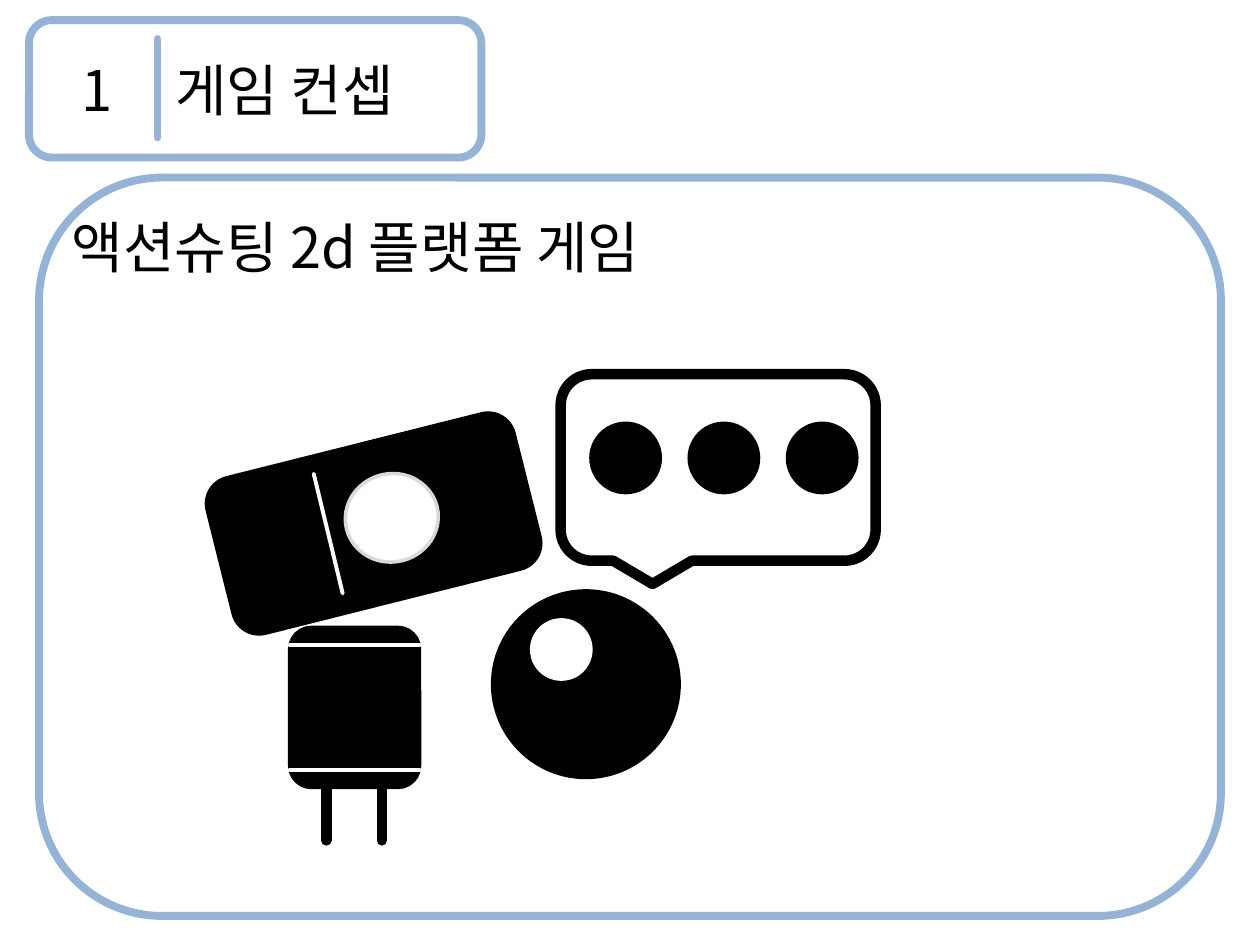
import pptx
import pptx.util
import pptx.dml.color
import pptx.enum.shapes
import pptx.enum.text
import pptx.oxml.ns
import lxml.etree

Inches = pptx.util.Inches
Pt = pptx.util.Pt
RGBColor = pptx.dml.color.RGBColor
KIND = pptx.enum.shapes.MSO_SHAPE
qn = pptx.oxml.ns.qn

BLUE = RGBColor(0x95, 0xB3, 0xD7)
BLACK = RGBColor(0, 0, 0)
WHITE = RGBColor(255, 255, 255)
GRAY = RGBColor(0xD9, 0xD9, 0xD9)
FONT = "Noto Sans CJK KR"

deck = pptx.Presentation()
deck.slide_width, deck.slide_height = Inches(10), Inches(7.5)
slide = deck.slides.add_slide(deck.slide_layouts[5])


def shape(home, kind, box, fill, color, width=2):
    item = home.add_shape(kind, *[Inches(v) for v in box])
    item.shadow.inherit = False
    if fill is None:
        item.fill.background()
    else:
        item.fill.solid()
        item.fill.fore_color.rgb = fill
    item.line.color.rgb = color
    item.line.width = Pt(width)
    return item


def line(home, ends, color, width):
    item = home.add_connector(pptx.enum.shapes.MSO_CONNECTOR.STRAIGHT,
                              *[Inches(v) for v in ends])
    item.line.color.rgb = color
    item.line.width = Pt(width)
    item.line._get_or_add_ln().set("cap", "rnd")
    lxml.etree.SubElement(item._element.spPr, qn("a:effectLst"))


# Title and body text
title = slide.shapes.title
title.left, title.top = Inches(0.55), Inches(0.39)
title.width, title.height = Inches(3.2), Inches(0.64)
body = slide.shapes.add_textbox(Inches(0.47), Inches(1.64), Inches(9.22), Inches(0.64))
for box, words in ((title, "1\t게임 컨셉"), (body, "액션슈팅 2d 플랫폼 게임")):
    frame = box.text_frame
    frame.word_wrap = True
    frame.auto_size = pptx.enum.text.MSO_AUTO_SIZE.NONE
    frame.vertical_anchor = pptx.enum.text.MSO_ANCHOR.TOP
    para = frame.paragraphs[0]
    para.alignment = pptx.enum.text.PP_ALIGN.LEFT
    run = para.add_run()
    run.text = words
    run.font.size = Pt(32)
    run.font.name = FONT
    run.font.color.rgb = BLACK
    lxml.etree.SubElement(run._r.get_or_add_rPr(), qn("a:ea")).set("typeface", FONT)

# Tab stop between the number and the heading
tabs = lxml.etree.SubElement(title.text_frame.paragraphs[0]._p.get_or_add_pPr(), qn("a:tabLst"))
stop = lxml.etree.SubElement(tabs, qn("a:tab"))
stop.set("pos", str(Inches(0.74)))
stop.set("algn", "l")

# Frames
for box in ((0.23, 0.16, 3.59, 1.09), (0.31, 1.41, 9.38, 5.86)):
    shape(slide.shapes, KIND.ROUNDED_RECTANGLE, box, None, BLUE, 4.5)
line(slide.shapes, (1.25, 0.31, 1.25, 1.09), BLUE, 4.5)

# Robot: head, eye, legs, trunk
robot = slide.shapes.add_group_shape().shapes
head = shape(robot, KIND.ROUNDED_RECTANGLE, (1.71, 3.52, 2.51, 1.27), BLACK, BLACK)
line(robot, (2.49, 3.76, 2.72, 4.71), WHITE, 2.25)
eye = shape(robot, KIND.OVAL, (2.74, 3.76, 0.74, 0.7), WHITE, GRAY)
head.rotation = eye.rotation = 345.9
for x in (2.59, 3.03):
    line(robot, (x, 5.97, x, 6.67), BLACK, 6)
shape(robot, KIND.ROUNDED_RECTANGLE, (2.3, 4.98, 1.03, 1.27), BLACK, BLACK)
for y in (5.12, 6.11):
    line(robot, (2.3, y, 3.33, y), WHITE, 2.25)

# Ball with a highlight
ball = slide.shapes.add_group_shape().shapes
shape(ball, KIND.OVAL, (3.91, 4.69, 1.48, 1.48), BLACK, BLACK)
shape(ball, KIND.OVAL, (4.22, 4.92, 0.47, 0.47), WHITE, WHITE)

# Speech bubble with three dots
shape(slide.shapes, KIND.ROUNDED_RECTANGULAR_CALLOUT, (4.45, 2.97, 2.5, 1.48), WHITE, BLACK, 6)
for i in range(3):
    shape(slide.shapes, KIND.OVAL, (4.69 + 0.78 * i, 3.36, 0.55, 0.55), BLACK, BLACK)

deck.save("out.pptx")
